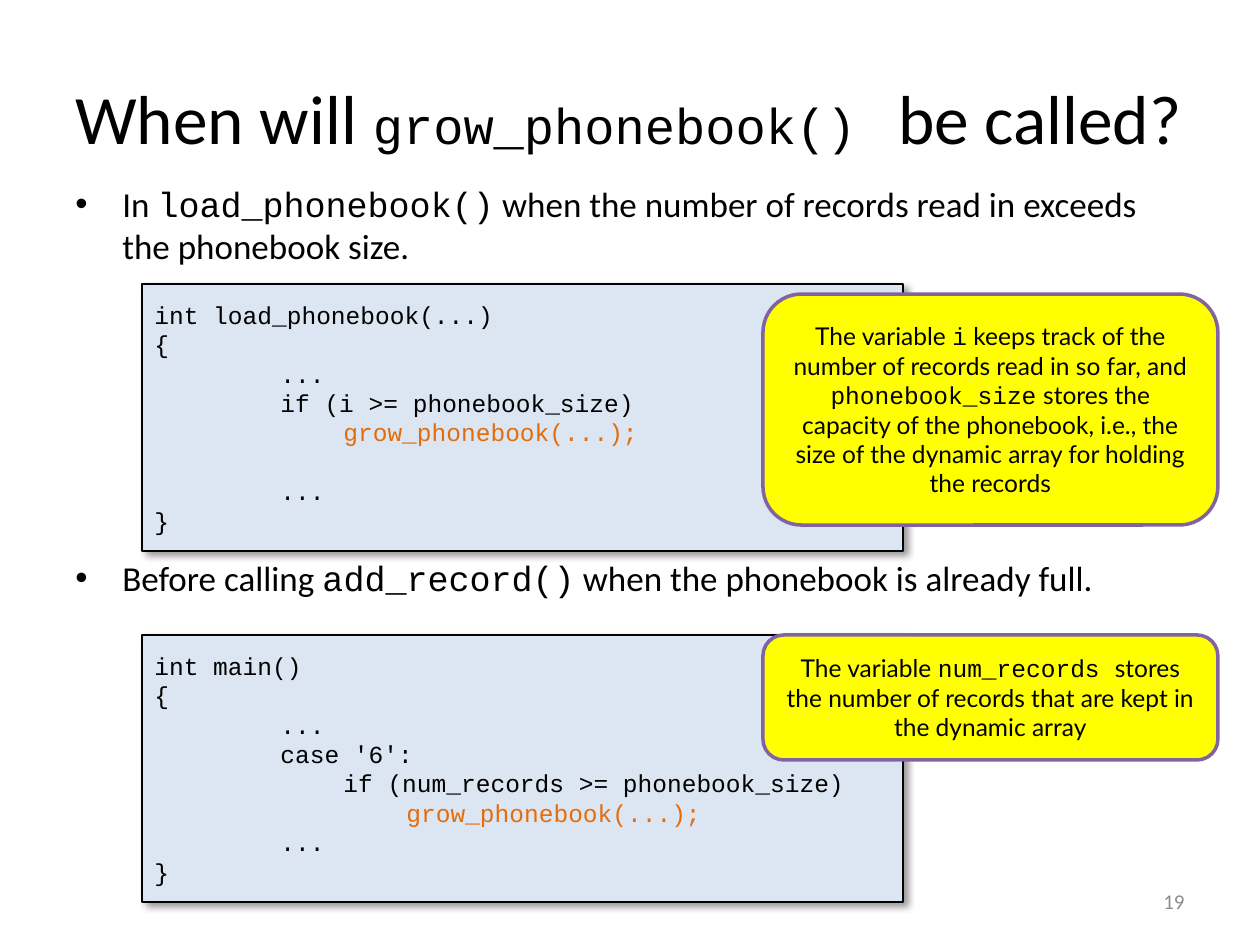
from lxml import etree
from pptx import Presentation
from pptx import util as u
from pptx.dml.color import RGBColor
from pptx.enum import shapes, text
from pptx.oxml import ns

PX = 914400 / 126
BLACK = RGBColor(0x00, 0x00, 0x00)
GREY = RGBColor(0x8C, 0x8C, 0x8C)
PALE_BLUE = RGBColor(0xDC, 0xE6, 0xF2)
YELLOW = RGBColor(0xFF, 0xFF, 0x00)
PURPLE = RGBColor(0x80, 0x64, 0xA2)
ORANGE = RGBColor(0xE4, 0x6C, 0x0A)
SANS, MONO, NOTE = "Calibri", "Courier New", "Lato"
LEFT, CENTER, RIGHT = text.PP_ALIGN.LEFT, text.PP_ALIGN.CENTER, text.PP_ALIGN.RIGHT
TOP, MIDDLE = text.MSO_ANCHOR.TOP, text.MSO_ANCHOR.MIDDLE
RECT, ROUND = shapes.MSO_SHAPE.RECTANGLE, shapes.MSO_SHAPE.ROUNDED_RECTANGLE


def px(n):
    return u.Emu(round(n * PX))


class Deck:
    """Holds the style and the current slide, with a method for each kind of element."""

    code_size, code_pitch, tab = 14, 16.8, 63

    def __init__(self, width, height):
        self.prs = Presentation()
        self.prs.slide_width, self.prs.slide_height = px(width), px(height)
        self.s = self.prs.slides.add_slide(self.prs.slide_layouts[6])

    def frame(self, sp, anchor):
        tf = sp.text_frame
        tf.word_wrap = True
        tf.vertical_anchor = anchor
        return tf

    def para(self, tf, runs, size, align=LEFT, color=BLACK):
        p = tf.paragraphs[0]
        if p.runs:
            p = tf.add_paragraph()
        p.alignment = align
        for words, font, *own_size in runs:
            r = p.add_run()
            r.text = words
            r.font.name = font
            r.font.size = u.Pt(own_size[0] if own_size else size)
            r.font.color.rgb = color
        return p

    def label(self, box, runs, size, align=LEFT, color=BLACK):
        tf = self.frame(self.s.shapes.add_textbox(*map(px, box)), MIDDLE)
        tf.margin_right = 0 if align == LEFT else tf.margin_right
        self.para(tf, runs, size, align, color)

    def bullets(self, box, items, size, gap):
        tf = self.frame(self.s.shapes.add_textbox(*map(px, box)), TOP)
        for i, runs in enumerate(items):
            p = self.para(tf, runs, size)
            p.space_before = u.Pt(gap if i else 0)
            pPr = p._p.get_or_add_pPr()
            pPr.set("marL", str(px(47)))
            pPr.set("indent", str(-px(47)))
            etree.SubElement(pPr, ns.qn("a:buFont")).set("typeface", "Arial")
            etree.SubElement(pPr, ns.qn("a:buChar")).set("char", "•")

    def panel(self, kind, box, fill, line, weight):
        sp = self.s.shapes.add_shape(kind, *map(px, box))
        sp.fill.solid()
        sp.fill.fore_color.rgb = fill
        sp.line.color.rgb = line
        sp.line.width = u.Pt(weight)
        sp.shadow.inherit = False
        return sp

    def code(self, box, lines):
        sp = self.panel(RECT, box, PALE_BLUE, BLACK, 0.75)
        effects = sp._element.spPr.find(ns.qn("a:effectLst"))
        shadow = etree.SubElement(effects, ns.qn("a:outerShdw"), blurRad=str(u.Pt(4)),
                                  dist=str(u.Pt(3)), dir="2700000", algn="tl", rotWithShape="0")
        color = etree.SubElement(shadow, ns.qn("a:srgbClr"), val=str(BLACK))
        etree.SubElement(color, ns.qn("a:alpha"), val="40000")
        tf = self.frame(sp, MIDDLE)
        for tabs, words, color, skipped in lines:
            p = self.para(tf, [(words, MONO)], self.code_size, color=color)
            p.line_spacing = u.Pt(self.code_pitch)
            p.space_before = u.Pt(skipped * self.code_pitch)
            p._p.get_or_add_pPr().set("marL", str(px(tabs * self.tab)))

    def callout(self, box, runs):
        sp = self.panel(ROUND, box, YELLOW, PURPLE, 2)
        self.para(self.frame(sp, MIDDLE), runs, 14, CENTER)


def main():
    d = Deck(1260, 945)
    d.label((63, 38, 1134, 158), [
        ("When will ", SANS), ("grow_phonebook()", MONO, 28.8), (" ", MONO), ("be called?", SANS),
    ], 39.6)
    d.bullets((63, 176, 1134, 645), [
        [("In ", SANS), ("load_phonebook()", MONO),
         (" when the number of records read in exceeds the phonebook size.", SANS)],
        [("Before calling ", SANS), ("add_record()", MONO),
         (" when the phonebook is already full.", SANS)],
    ], 20, 166)
    d.label((903, 876, 294, 50), [("19", SANS)], 12, RIGHT, GREY)

    d.code((142, 284, 761, 267), [
        (0, "int load_phonebook(...)", BLACK, 0),
        (0, "{", BLACK, 0),
        (2, "...", BLACK, 0),
        (2, "if (i >= phonebook_size)", BLACK, 0),
        (3, "grow_phonebook(...);", ORANGE, 0),
        (2, "...", BLACK, 1),
        (0, "}", BLACK, 0),
    ])
    d.callout((763, 294, 455, 231), [
        ("The variable ", NOTE), ("i", MONO),
        (" keeps track of the number of records read in so far, and ", NOTE),
        ("phonebook_size", MONO),
        (" stores the capacity of the phonebook, i.e., the size of the dynamic array"
         " for holding the records", NOTE),
    ])
    d.code((142, 635, 761, 267), [
        (0, "int main()", BLACK, 0),
        (0, "{", BLACK, 0),
        (2, "...", BLACK, 0),
        (2, "case '6':", BLACK, 0),
        (3, "if (num_records >= phonebook_size)", BLACK, 0),
        (4, "grow_phonebook(...);", ORANGE, 0),
        (2, "...", BLACK, 0),
        (0, "}", BLACK, 0),
    ])
    d.callout((763, 635, 455, 125), [
        ("The variable ", NOTE), ("num_records ", MONO),
        ("stores the number of records that are kept in the dynamic array", NOTE),
    ])
    d.prs.save("out.pptx")


if __name__ == "__main__":
    main()
